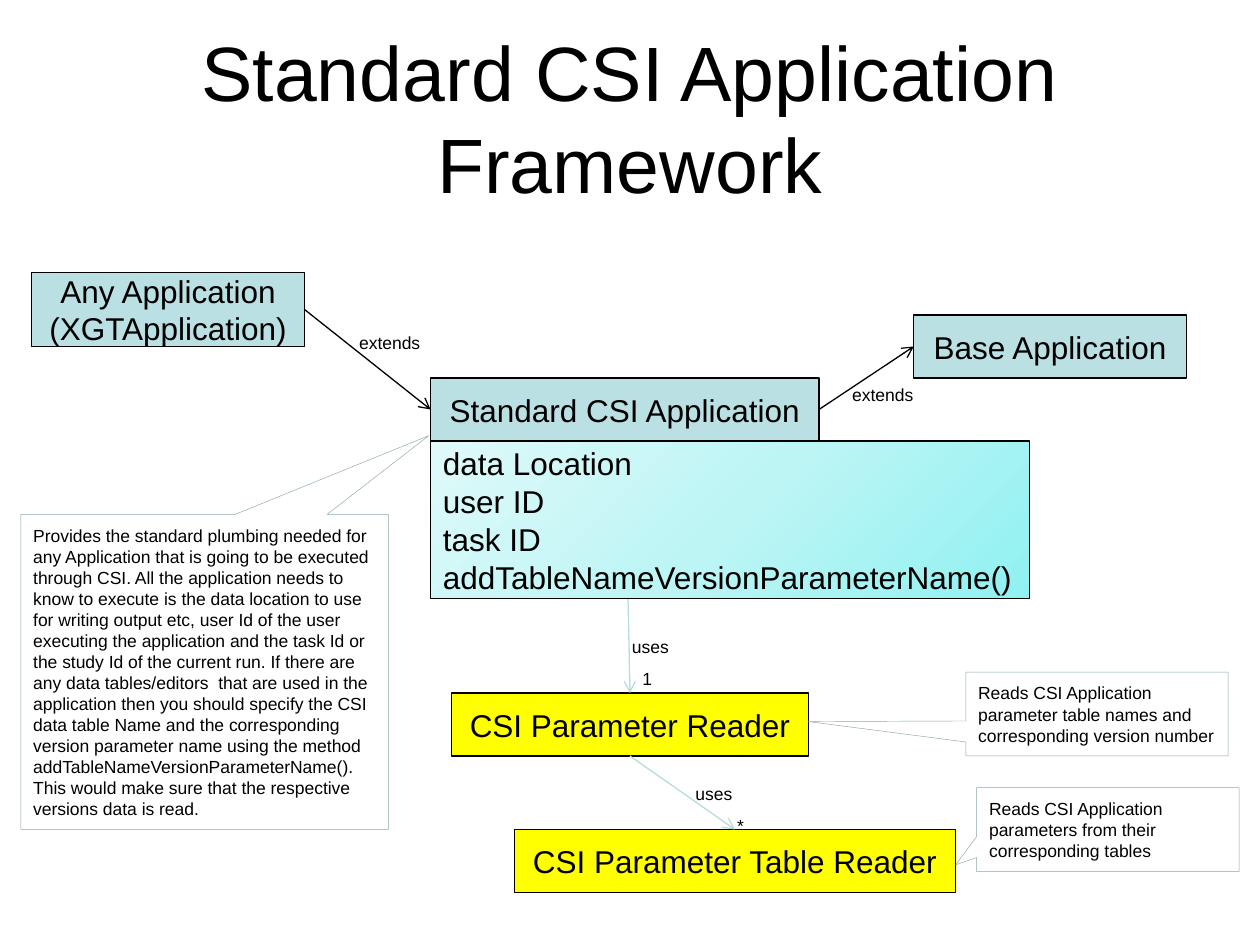
from lxml import etree
from pptx import Presentation
from pptx import util as u
from pptx.dml.color import RGBColor
from pptx.enum import shapes, text
from pptx.oxml import parse_xml
from pptx.oxml.ns import nsdecls, qn

TOP, LEFT, BOTTOM, RIGHT = range(4)
BLACK, TEAL, YELLOW = "000000", "BBE0E3", "FFFF00"
ARROW_TEAL, CALLOUT_LINE = "B6DCDF", "8AA6A8"
CENTER, START = text.PP_ALIGN.CENTER, text.PP_ALIGN.LEFT


def color(value):
    return RGBColor.from_string(value)


class Diagram:
    """Draw class boxes, arrows, labels and callouts on one slide."""

    font = "Arial"

    def __init__(self, slide):
        self.slide = slide

    def set_text(self, shape, lines, size, align=START, wrap=True, anchor=text.MSO_ANCHOR.MIDDLE):
        frame = shape.text_frame
        frame.word_wrap = wrap
        frame.vertical_anchor = anchor
        for index, line in enumerate(lines):
            paragraph = frame.add_paragraph() if index else frame.paragraphs[0]
            paragraph.alignment = align
            run = paragraph.add_run()
            run.text = line
            run.font.name = self.font
            run.font.size = u.Pt(size)
            run.font.color.rgb = color(BLACK)

    def add_text(self, place, line, size, **style):
        shape = self.slide.shapes.add_textbox(*map(u.Cm, place))
        self.set_text(shape, [line], size, **style)

    def add_label(self, left, top, width, line, wrap=False):
        self.add_text((left, top, width, 0.68), line, 10, wrap=wrap, anchor=text.MSO_ANCHOR.TOP)

    def outline(self, kind, place, line, width):
        shape = self.slide.shapes.add_shape(kind, *map(u.Cm, place))
        shape.shadow.inherit = False
        shape.line.color.rgb = color(line)
        shape.line.width = u.Pt(width)
        return shape

    def add_box(self, place, lines, fill, align=CENTER):
        shape = self.outline(shapes.MSO_SHAPE.RECTANGLE, place, BLACK, 0.75)
        shape.fill.solid()
        shape.fill.fore_color.rgb = color(fill)
        self.set_text(shape, lines, 18, align, wrap=False)
        return shape

    def add_glow(self, shape, stops):
        entries = "".join(
            f'<a:gs pos="{position * 1000}"><a:srgbClr val="{value}"/></a:gs>'
            for position, value in stops)
        gradient = parse_xml(
            f'<a:gradFill {nsdecls("a")} rotWithShape="1"><a:gsLst>{entries}</a:gsLst>'
            '<a:path path="circle"><a:fillToRect l="100000" t="100000"/></a:path></a:gradFill>')
        properties = shape.element.spPr
        properties.replace(properties.find(qn("a:solidFill")), gradient)

    def add_callout(self, place, tip, line):
        shape = self.outline(shapes.MSO_SHAPE.RECTANGULAR_CALLOUT, place, CALLOUT_LINE, 0.25)
        shape.fill.background()
        for index, value in enumerate(tip):
            shape.adjustments[index] = value
        self.set_text(shape, [line], 10)

    def add_arrow(self, source, source_side, target, target_side, line):
        arrow = self.slide.shapes.add_connector(shapes.MSO_CONNECTOR.STRAIGHT, 0, 0, 0, 0)
        arrow.begin_connect(source, source_side)
        arrow.end_connect(target, target_side)
        arrow.line.color.rgb = color(line)
        arrow.line.width = u.Pt(0.75)
        properties = arrow.element.spPr
        etree.SubElement(properties.find(qn("a:ln")), qn("a:tailEnd"), type="arrow")
        etree.SubElement(properties, qn("a:effectLst"))


presentation = Presentation()
presentation.slide_width, presentation.slide_height = u.Cm(25.4), u.Cm(19.05)
diagram = Diagram(presentation.slides.add_slide(presentation.slide_layouts[6]))

diagram.add_text((1.27, 0.76, 22.86, 3.18), "Standard CSI Application Framework", 44, align=CENTER)

any_application = diagram.add_box(
    (0.64, 5.5, 5.5, 1.48), ["Any Application", "(XGTApplication)"], TEAL)
standard = diagram.add_box((8.68, 7.62, 7.83, 1.27), ["Standard CSI Application"], TEAL)
base = diagram.add_box((18.42, 6.35, 5.5, 1.27), ["Base Application"], TEAL)
reader = diagram.add_box((9.1, 13.97, 7.2, 1.27), ["CSI Parameter Reader"], YELLOW)
table_reader = diagram.add_box(
    (10.37, 16.72, 8.89, 1.27), ["CSI Parameter Table Reader"], YELLOW)

diagram.add_arrow(any_application, RIGHT, standard, LEFT, BLACK)
diagram.add_arrow(standard, RIGHT, base, LEFT, BLACK)
diagram.add_arrow(standard, BOTTOM, reader, TOP, ARROW_TEAL)
diagram.add_arrow(reader, BOTTOM, table_reader, TOP, ARROW_TEAL)

members = diagram.add_box(
    (8.68, 8.89, 12.07, 3.18),
    ["data Location", "user ID", "task ID", "addTableNameVersionParameterName()"], TEAL, START)
diagram.add_glow(members, [(0, "91F1F1"), (50, "BDF5F5"), (100, "DFF9F9")])

diagram.add_label(6.99, 6.56, 1.75, "extends")
diagram.add_label(16.93, 7.62, 1.75, "extends")
diagram.add_label(12.49, 12.7, 1.27, "uses")
diagram.add_label(13.77, 15.66, 1.27, "uses")
diagram.add_label(14.61, 16.3, 0.66, "*")
diagram.add_label(12.7, 13.34, 0.64, "1", wrap=True)

diagram.add_callout(
    (19.47, 13.55, 5.29, 1.69), (-1.1, 0.09),
    "Reads CSI Application parameter table names and corresponding version number")
diagram.add_callout(
    (19.69, 15.88, 5.29, 1.69), (-0.58, 0.42),
    "Reads CSI Application parameters from their corresponding tables")
diagram.add_callout(
    (0.42, 10.37, 7.41, 6.35), (0.61, -0.75),
    "Provides the standard plumbing needed for any Application that is going to be executed "
    "through CSI. All the application needs to know to execute is the data location to use for "
    "writing output etc, user Id of the user executing the application and the task Id or the "
    "study Id of the current run. If there are any data tables/editors  that are used in the "
    "application then you should specify the CSI data table Name and the corresponding version "
    "parameter name using the method addTableNameVersionParameterName(). This would make sure "
    "that the respective versions data is read.")

presentation.save("out.pptx")
